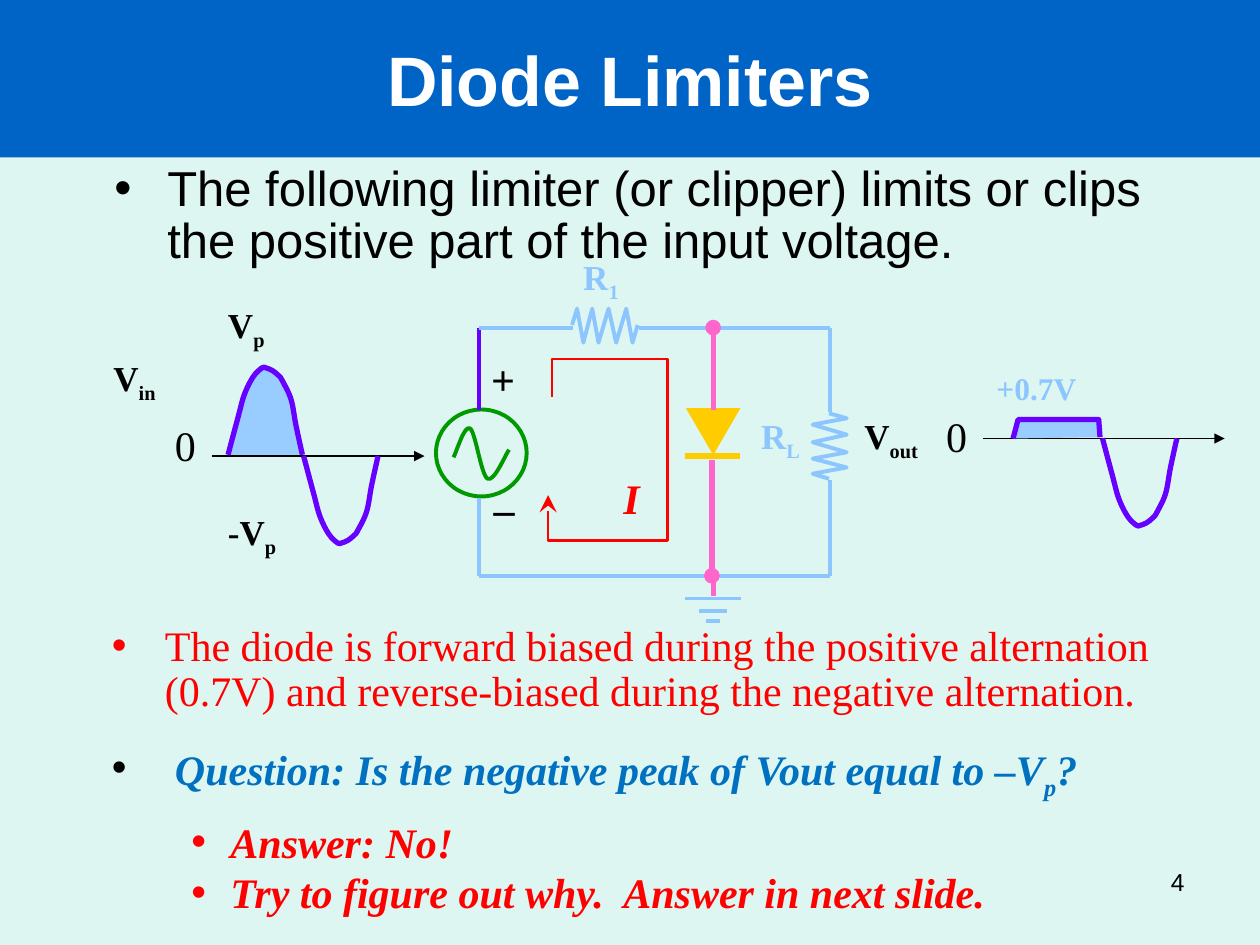
from lxml.etree import SubElement
from pptx import Presentation
from pptx.dml.color import RGBColor
from pptx.enum.shapes import MSO_CONNECTOR, MSO_SHAPE
from pptx.enum.text import MSO_ANCHOR, PP_ALIGN
from pptx.oxml.ns import qn
from pptx.util import Inches, Pt

# The slide is a grid of 100 columns by 75 rows
COLUMNS, ROWS = 100, 75
CELL = Inches(0.1)

BLACK = RGBColor(0, 0, 0)
WHITE = RGBColor(255, 255, 255)
MINT = RGBColor(0xDE, 0xF6, 0xF1)
TITLE_BLUE = RGBColor(0x00, 0x63, 0xC6)
WIRE_BLUE = RGBColor(0x8D, 0xC6, 0xFF)
WAVE_FILL = RGBColor(0x99, 0xCC, 0xFF)
VIOLET = RGBColor(0x66, 0x00, 0xFF)
GREEN = RGBColor(0x00, 0x99, 0x00)
YELLOW = RGBColor(0xFF, 0xCC, 0x00)
PINK = RGBColor(0xFF, 0x66, 0xCC)
RED = RGBColor(0xFF, 0, 0)
QUESTION_BLUE = RGBColor(0x00, 0x70, 0xC0)
SANS, SERIF = "Arial", "Times New Roman"

# Knots as offsets from the start of each curve
HALF_WAVE = [(0, 0), (0.8, 3), (1.3, 4.8), (2, 6.2), (2.7, 6.9), (3, 6.9),
             (3.5, 6.7), (4, 6.3), (4.3, 5.9), (5, 4.4), (5.4, 2.3), (5.9, 0)]
SOURCE_WAVE = [(0, 0), (1.3, -2.3), (2.7, 1.7), (4.4, -0.6)]
ZIGZAG = [(0, 0), (0.4, -1.3), (0.9, 1.4), (1.6, -1.3), (2.1, 1.4),
          (2.9, -1.3), (3.5, 1.4), (4.3, -1.3), (4.8, 1.4), (5.2, 0)]


def grid(*lengths):
    return [round(length * CELL) for length in lengths]


def smooth(knots):
    """Start point, then two Bezier handles and an end point per segment."""
    ends = [knots[0], *knots, knots[-1]]
    points = [knots[0]]
    for a, b, c, d in zip(ends, ends[1:], ends[2:], ends[3:]):
        points.append(tuple(q + (r - p) / 6 for p, q, r in zip(a, b, c)))
        points.append(tuple(q - (r - p) / 6 for p, q, r in zip(b, c, d)))
        points.append(c)
    return points


def shifted(points, x, y, flip=1):
    return [(x + dx, y + flip * dy) for dx, dy in points]


def style(shape, fill=None, color=None, width=0):
    shape.shadow.inherit = False
    if fill is None:
        shape.fill.background()
    else:
        shape.fill.solid()
        shape.fill.fore_color.rgb = fill
    if color is None:
        shape.line.fill.background()
    else:
        shape.line.color.rgb = color
        shape.line.width = Pt(width)


def add_ends(shape, head=None, tail=None, size="med"):
    outline = shape.line._get_or_add_ln()
    for tag, kind in (("a:headEnd", head), ("a:tailEnd", tail)):
        if kind:
            SubElement(outline, qn(tag), type=kind, w=size, len=size)


def line(canvas, start, end, color=WIRE_BLUE, width=2.25, head=None, tail=None):
    connector = canvas.add_connector(MSO_CONNECTOR.STRAIGHT, *grid(*start, *end))
    connector.line.color.rgb = color
    connector.line.width = Pt(width)
    add_ends(connector, head, tail)
    SubElement(connector._element.spPr, qn("a:effectLst"))


def outline(canvas, points, color, width, fill=None):
    corners = [grid(*point) for point in points]
    builder = canvas.build_freeform(*corners[0])
    builder.add_line_segments(corners[1:], close=False)
    shape = builder.convert_to_shape()
    style(shape, fill, color, width)
    return shape


def curve(canvas, points, color, width, fill=None):
    """Turn each three straight steps of an outline into one Bezier segment."""
    shape = outline(canvas, points, color, width, fill)
    steps = list(shape._element.iter(qn("a:lnTo")))
    for first in range(0, len(steps), 3):
        segment = SubElement(steps[first].getparent(), qn("a:cubicBezTo"))
        for step in steps[first:first + 3]:
            segment.append(step[0])
            step.getparent().remove(step)


def add_run(paragraph, text, size, color, font=SERIF, bold=False, italic=False,
            subscript=False):
    run = paragraph.add_run()
    run.text = text
    run.font.size, run.font.name = Pt(size), font
    run.font.bold, run.font.italic = bold, italic
    run.font.color.rgb = color
    if subscript:
        run.font._element.set("baseline", "-25000")


def text_frame(canvas, box, wrap=True, inset=True):
    frame = canvas.add_textbox(*grid(*box)).text_frame
    frame.word_wrap = wrap
    if not inset:
        frame.margin_left = frame.margin_right = 0
        frame.margin_top = frame.margin_bottom = 0
    return frame


def label(canvas, box, text, sub="", size=20, color=BLACK, bold=True,
          italic=False, wrap=True, inset=False):
    paragraph = text_frame(canvas, box, wrap, inset).paragraphs[0]
    add_run(paragraph, text, size, color, bold=bold, italic=italic)
    if sub:
        add_run(paragraph, sub, size, color, bold=bold, subscript=True)


def bullet(paragraph, left, hanging, color, spacing=1.0, before=0, after=0):
    paragraph.line_spacing = spacing
    paragraph.space_before, paragraph.space_after = Pt(before), Pt(after)
    props = paragraph._p.get_or_add_pPr()
    margin, indent = grid(left, -hanging)
    props.set("marL", str(margin))
    props.set("indent", str(indent))
    SubElement(SubElement(props, qn("a:buClr")), qn("a:srgbClr")).set("val", str(color))
    SubElement(props, qn("a:buFont")).set("typeface", SANS)
    SubElement(props, qn("a:buChar")).set("char", "•")


def draw_input(canvas):
    label(canvas, (9, 28.3, 6, 3.9), "V", "in")
    line(canvas, (16.8, 36.2), (33.7, 36.2), BLACK, 0.75, tail="triangle")
    half = smooth(HALF_WAVE)
    curve(canvas, shifted(half, 18.1, 36.1, -1), VIOLET, 3, WAVE_FILL)
    curve(canvas, shifted(half, 24.1, 36.2), VIOLET, 3)
    label(canvas, (12.9, 32.8, 3.5, 5), "0", size=24, bold=False, inset=True)
    label(canvas, (18.1, 24.1, 6, 3.9), "V", "p")
    label(canvas, (18.1, 40.5, 6, 3.9), "-V", "p")


def draw_circuit(canvas):
    left, right, top, bottom, diode = 38, 65.9, 26, 45.7, 56.6
    # Voltage source
    curve(canvas, shifted(smooth(SOURCE_WAVE), 36, 36.3), GREEN, 2.25)
    source = canvas.add_shape(MSO_SHAPE.OVAL, *grid(34.6, 32.5, 7.2, 6.9))
    style(source, color=GREEN, width=2.25)
    line(canvas, (left, top), (left, 32.5), VIOLET)
    label(canvas, (38, 27.6, 4.4, 5), "+", size=24, inset=True)
    label(canvas, (38.2, 36.7, 4.4, 5), "_", size=24, inset=True)
    # Wires
    for start, end in (((left, 39.5), (left, bottom)),
                       ((left, top), (45.5, top)),
                       ((50.7, top), (right, top)),
                       ((right, top), (right, 32.7)),
                       ((right, 38.1), (right, bottom)),
                       ((left, bottom), (right, bottom))):
        line(canvas, start, end)
    # Resistors
    outline(canvas, shifted(ZIGZAG, 45.4, 25.8), WIRE_BLUE, 2.25)
    outline(canvas, [(65.8 + across, 38 - along) for along, across in ZIGZAG],
            WIRE_BLUE, 2.25)
    label(canvas, (45.3, 19.8, 4.9, 4.3), "R", "1", color=WIRE_BLUE,
          wrap=False, inset=True)
    label(canvas, (60.4, 32.9, 4, 4.8), "R", "L", color=WIRE_BLUE)
    # Diode
    triangle = canvas.add_shape(MSO_SHAPE.ISOSCELES_TRIANGLE,
                                *grid(54.8, 32.6, 3.6, 3.1))
    triangle.rotation = 180
    style(triangle, YELLOW, YELLOW, 3)
    SubElement(triangle.line._get_or_add_ln(), qn("a:miter"), lim="800000")
    line(canvas, (58.7, 36.2), (54.4, 36.2), YELLOW, 3)
    line(canvas, (diode, top), (diode, 32.5), PINK, 3, head="oval")
    line(canvas, (56.5, 36.5), (56.5, bottom), PINK, 3, tail="oval")
    # Ground
    for y, half in ((47.5, 2.25), (48.5, 1.1), (49.3, 0.55)):
        line(canvas, (diode - half, y), (diode + half, y))
    line(canvas, (diode, 47.3), (diode, 46), PINK, 3)
    # Current loop
    loop = outline(canvas, [(43.8, 31.5), (43.8, 28.5), (53, 28.5), (53, 42.9),
                            (43.5, 42.9), (43.5, 39.3)], RED, 1.5)
    add_ends(loop, tail="stealth", size="lg")
    label(canvas, (48.5, 37, 3.3, 5), "I", size=24, color=RED, italic=True,
          wrap=False, inset=True)
    label(canvas, (68.6, 32.9, 5, 4.1), "V", "out")


def draw_output(canvas):
    line(canvas, (78, 34.8), (97.2, 34.8), BLACK, 0.75, tail="triangle")
    curve(canvas, shifted(smooth(HALF_WAVE), 87.5, 34.8), VIOLET, 3)
    label(canvas, (74.1, 32.1, 3.5, 5), "0", size=24, bold=False, inset=True)
    label(canvas, (78.1, 28.8, 14.8, 4), "+0.7V", size=18, color=WIRE_BLUE, inset=True)
    outline(canvas, [(80.4, 34.8), (80.8, 33.3), (87.2, 33.3), (87.3, 34.7)],
            VIOLET, 3, WAVE_FILL)


def write_intro(canvas):
    intro = text_frame(canvas, (8.1, 12.5, 85, 9.1)).paragraphs[0]
    bullet(intro, 4.2, 4.2, BLACK, 0.9)
    add_run(intro, "The following limiter (or clipper) limits or clips the "
            "positive part of the input voltage.", 28, BLACK, SANS)


def write_discussion(canvas):
    frame = text_frame(canvas, (7.9, 49.1, 90.2, 16))
    bias = frame.paragraphs[0]
    bullet(bias, 4.2, 4.2, RED, 0.9)
    add_run(bias, "The diode is forward biased during the positive alternation "
            "(0.7V) and reverse-biased during the negative alternation.", 24, RED)
    question = frame.add_paragraph()
    bullet(question, 5, 5, BLACK, 0.9, before=16.5, after=11.5)
    for text, sub in (("Question: Is the negative peak of Vout equal to –V", False),
                      ("p", True), ("?", False)):
        add_run(question, text, 24, QUESTION_BLUE, bold=True, italic=True, subscript=sub)
    for text in ("Answer: No!", "Try to figure out why.  Answer in next slide."):
        answer = frame.add_paragraph()
        answer.level = 1
        bullet(answer, 9.4, 3.1, RED)
        add_run(answer, text, 24, RED, bold=True, italic=True)


def add_title(canvas):
    banner = canvas.add_shape(MSO_SHAPE.RECTANGLE, *grid(0, 0, COLUMNS, 12.5))
    style(banner, TITLE_BLUE)
    banner.text_frame.vertical_anchor = MSO_ANCHOR.MIDDLE
    title = banner.text_frame.paragraphs[0]
    title.alignment = PP_ALIGN.CENTER
    add_run(title, "Diode Limiters", 40, WHITE, SANS, bold=True)


def add_page_number(canvas):
    number = text_frame(canvas, (71.7, 68.3, 23.3, 5.2)).paragraphs[0]
    number.alignment = PP_ALIGN.RIGHT
    add_run(number, "4", 14, BLACK, SANS)


def main():
    deck = Presentation()
    deck.slide_width, deck.slide_height = grid(COLUMNS, ROWS)
    slide = deck.slides.add_slide(deck.slide_layouts[6])
    slide.background.fill.solid()
    slide.background.fill.fore_color.rgb = MINT
    shapes = slide.shapes
    write_intro(shapes)
    draw_input(shapes.add_group_shape().shapes)
    write_discussion(shapes)
    for draw in (draw_circuit, draw_output):
        draw(shapes.add_group_shape().shapes)
    add_title(shapes)
    add_page_number(shapes)
    deck.save("out.pptx")


if __name__ == "__main__":
    main()
